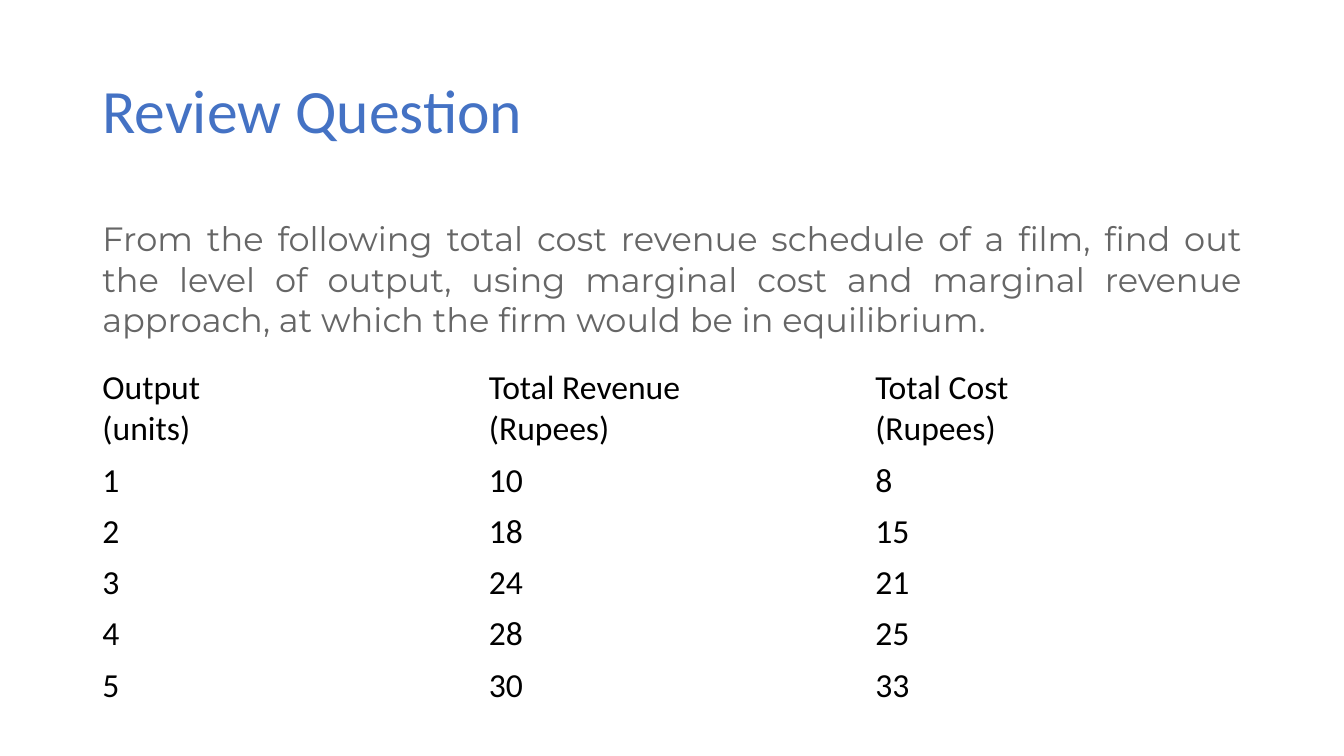
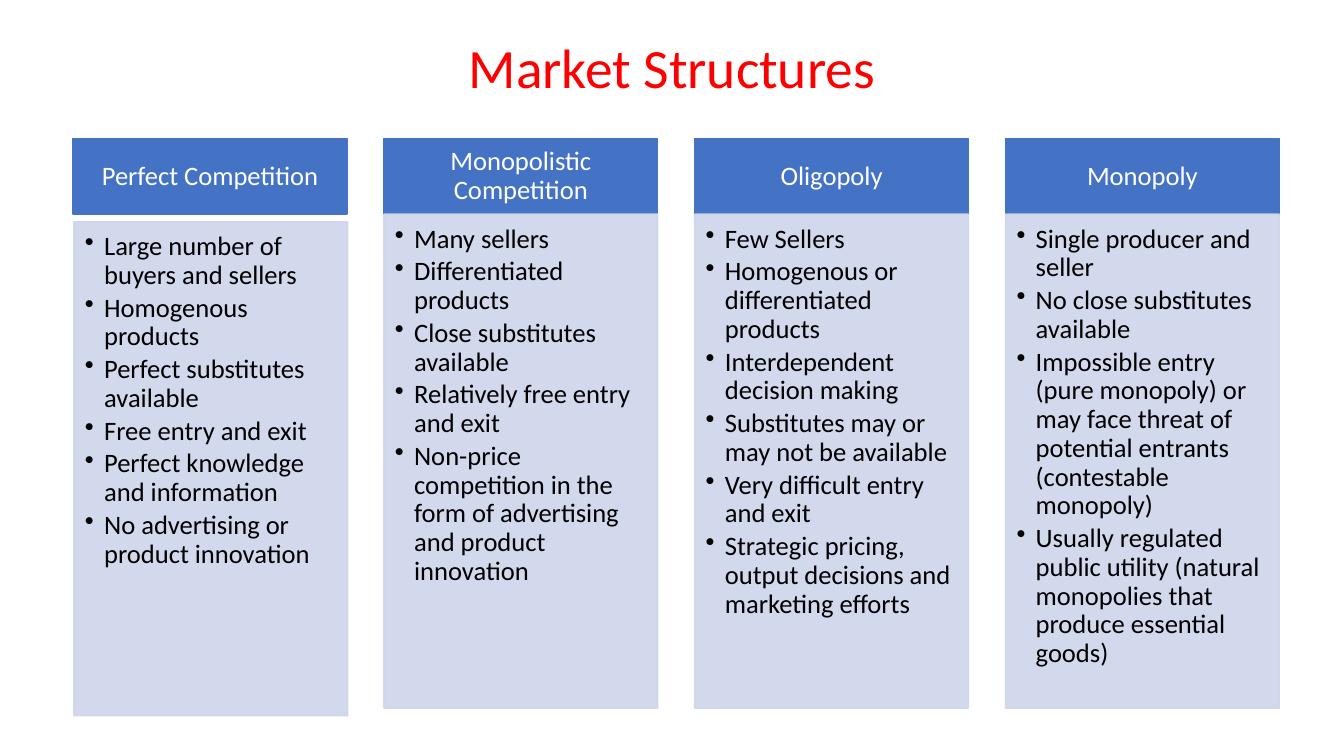
"""Build two economics slides: a review question and market structures."""
from dataclasses import dataclass

from lxml import etree
from pptx import Presentation
from pptx.dml.color import RGBColor
from pptx.enum.shapes import MSO_SHAPE
from pptx.enum.text import MSO_ANCHOR, PP_ALIGN
from pptx.oxml.ns import qn
from pptx.util import Inches, Pt

RECT = MSO_SHAPE.RECTANGLE
TOP, MIDDLE = MSO_ANCHOR.TOP, MSO_ANCHOR.MIDDLE
LEFT, CENTER, FULL = PP_ALIGN.LEFT, PP_ALIGN.CENTER, PP_ALIGN.JUSTIFY
COLS, ROWS = 160, 90
BLANK = 6


@dataclass(frozen=True)
class Theme:
    blue: str = "4472C4"
    red: str = "FF0000"
    pale: str = "CFD5EA"
    gray: str = "666666"
    black: str = "000000"
    white: str = "FFFFFF"
    sans: str = "Calibri"
    wide: str = "Montserrat"
    head: float = 44
    small: float = 39.6
    text: float = 24
    card: float = 19


def assign(item, values):
    for name, value in values.items():
        setattr(item, name, value)


def insets(left, top, right, bottom):
    sides = ("left", "top", "right", "bottom")
    return {f"margin_{side}": Inches(gap)
            for side, gap in zip(sides, (left, top, right, bottom))}


class Deck:
    def __init__(self, theme):
        self.theme = theme
        self.show = Presentation()
        self.show.slide_width, self.show.slide_height = Inches(13.33), Inches(7.5)
        self.slide = None

    def page(self):
        self.slide = self.show.slides.add_slide(self.show.slide_layouts[BLANK])

    def grid(self, left, top, wide, high):
        col, row = self.show.slide_width / COLS, self.show.slide_height / ROWS
        return [round(n) for n in (left * col, top * row, wide * col, high * row)]

    def words(self, frame, lines, size, color, face=None, bullet=False, **form):
        frame.word_wrap = True
        font = {"size": Pt(size), "name": face or self.theme.sans, "bold": False}
        for spot, line in enumerate(lines):
            para = frame.add_paragraph() if spot else frame.paragraphs[0]
            if bullet:
                props = para._p.get_or_add_pPr()
                props.set("marL", str(Inches(0.19)))
                props.set("indent", str(Inches(-0.19)))
                etree.SubElement(props, qn("a:buChar"), char="•")
            para.text = line
            assign(para, form)
            for run in para.runs:
                assign(run.font, font)
                run.font.color.rgb = RGBColor.from_string(color)

    def text(self, area, line, size, color, anchor=TOP, **form):
        frame = self.slide.shapes.add_textbox(*self.grid(*area)).text_frame
        frame.vertical_anchor = anchor
        self.words(frame, [line], size, color, **form)

    def title(self, line, high, size, color, align=LEFT):
        self.text((11, 4.8, 138, high), line, size, color, MIDDLE,
                  alignment=align, line_spacing=0.9)

    def panel(self, area, color, alpha=100):
        shape = self.slide.shapes.add_shape(RECT, *self.grid(*area))
        shape.shadow.inherit = False
        shape.fill.solid()
        shape.line.width = Pt(1)
        for paint in (shape.fill.fore_color, shape.line.color):
            paint.rgb = RGBColor.from_string(color)
        if alpha < 100:
            for tint in shape._element.spPr.iter(qn("a:srgbClr")):
                etree.SubElement(tint, qn("a:alpha"), val=str(alpha * 1000))
        return shape.text_frame

    def card(self, left, top, name, points, shift=0, drop=0):
        theme, wide, high = self.theme, 32.6, 9
        frame = self.panel((left, top, wide, high), theme.blue)
        assign(frame, {"vertical_anchor": MIDDLE, **insets(0.15, 0.08, 0.15, 0.08)})
        self.words(frame, [name], theme.card, theme.white,
                   alignment=CENTER, line_spacing=0.9)
        frame = self.panel((left + shift, top + high + drop, wide, 58.8),
                           theme.pale, 90)
        assign(frame, {"vertical_anchor": TOP, **insets(0.11, 0.11, 0.15, 0.17)})
        self.words(frame, points, theme.card, theme.black, bullet=True,
                   alignment=LEFT, line_spacing=0.9,
                   space_after=Pt(0.15 * theme.card))

    def table(self, area, data, first, rest):
        shape = self.slide.shapes.add_table(len(data), len(data[0]), *self.grid(*area))
        table = shape.table
        assign(table, {"first_row": False, "horz_banding": False})
        for spot, (row, line) in enumerate(zip(table.rows, data)):
            row.height = self.grid(0, 0, 0, rest if spot else first)[3]
            for cell, word in zip(row.cells, line):
                cell.fill.background()
                cell.vertical_anchor = MIDDLE
                self.words(cell.text_frame, [word], self.theme.text, self.theme.black)


SCHEDULE = [
    ("Output\n(units)", "Total Revenue\n(Rupees)", "Total Cost\n(Rupees)"),
    ("1", "10", "8"),
    ("2", "18", "15"),
    ("3", "24", "21"),
    ("4", "28", "25"),
    ("5", "30", "33"),
]

MARKETS = {
    "Perfect Competition": [
        "Large number of buyers and sellers",
        "Homogenous products",
        "Perfect substitutes available",
        "Free entry and exit",
        "Perfect knowledge and information",
        "No advertising or product innovation",
    ],
    "Monopolistic Competition": [
        "Many sellers",
        "Differentiated products",
        "Close substitutes available",
        "Relatively free entry and exit",
        "Non-price competition in the form of advertising and product innovation",
    ],
    "Oligopoly": [
        "Few Sellers",
        "Homogenous or differentiated products",
        "Interdependent decision making",
        "Substitutes may or may not be available",
        "Very difficult entry and exit",
        "Strategic pricing, output decisions and marketing efforts",
    ],
    "Monopoly": [
        "Single producer and seller",
        "No close substitutes available",
        "Impossible entry (pure monopoly) or may face threat of potential "
        "entrants (contestable monopoly)",
        "Usually regulated public utility (natural monopolies that produce "
        "essential goods)",
    ],
}


def main():
    theme = Theme()
    deck = Deck(theme)

    deck.page()
    deck.title("Review Question", 17.4, theme.head, theme.blue)
    deck.table((11, 43.2, 138, 41.5), SCHEDULE, first=11, rest=6.1)
    deck.text((11, 25.4, 138, 15.7),
              "From the following total cost revenue schedule of a film, find out "
              "the level of output, using marginal cost and marginal revenue "
              "approach, at which the firm would be in equilibrium.",
              theme.text, theme.gray, face=theme.wide, alignment=FULL)

    deck.page()
    deck.title("Market Structures", 7.2, theme.small, theme.red, CENTER)
    for spot, (name, points) in enumerate(MARKETS.items()):
        nudge = {} if spot else {"shift": 0.1, "drop": 0.9}
        deck.card(8.7 + 37 * spot, 16.5, name, points, **nudge)

    deck.show.save("out.pptx")


if __name__ == "__main__":
    main()
